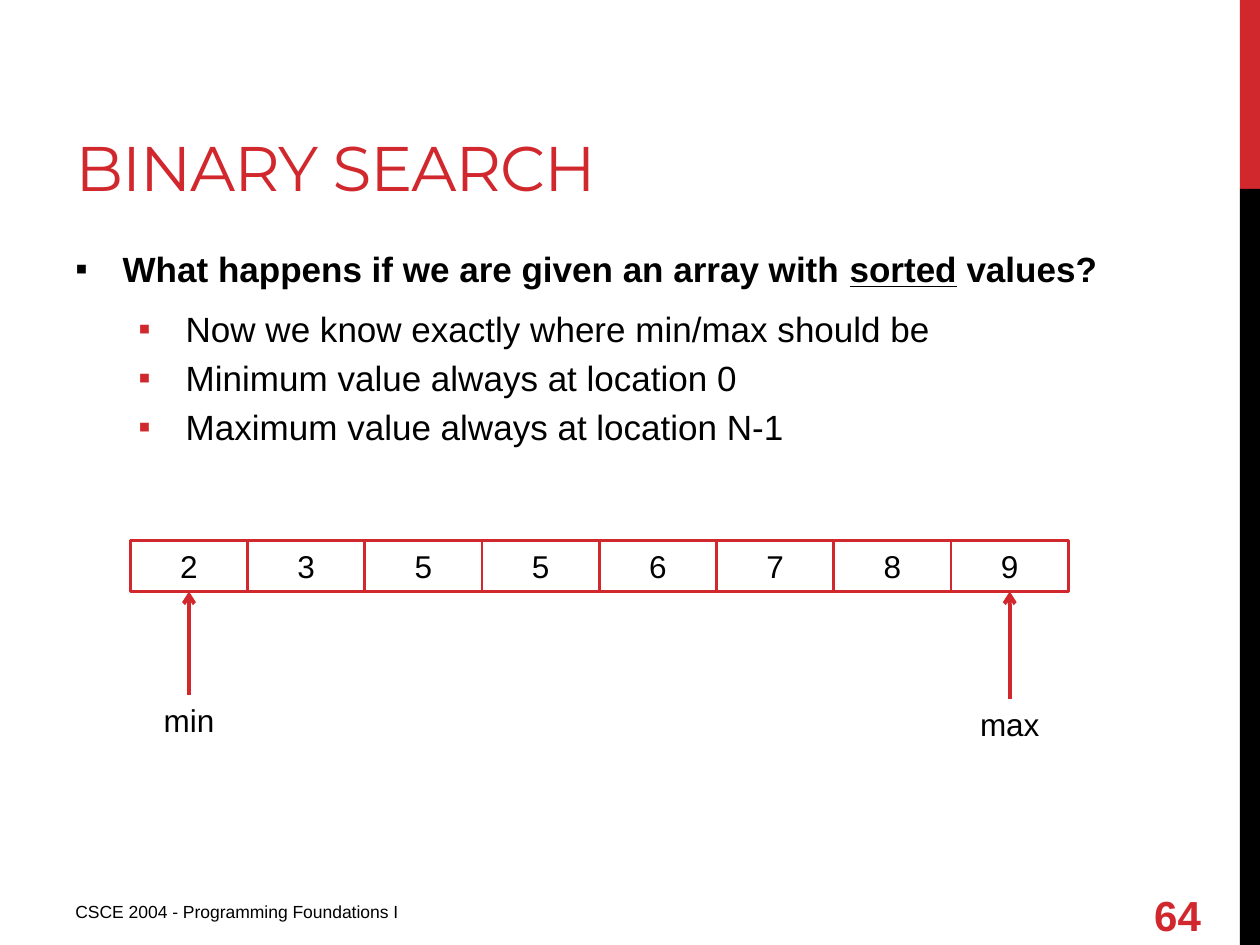
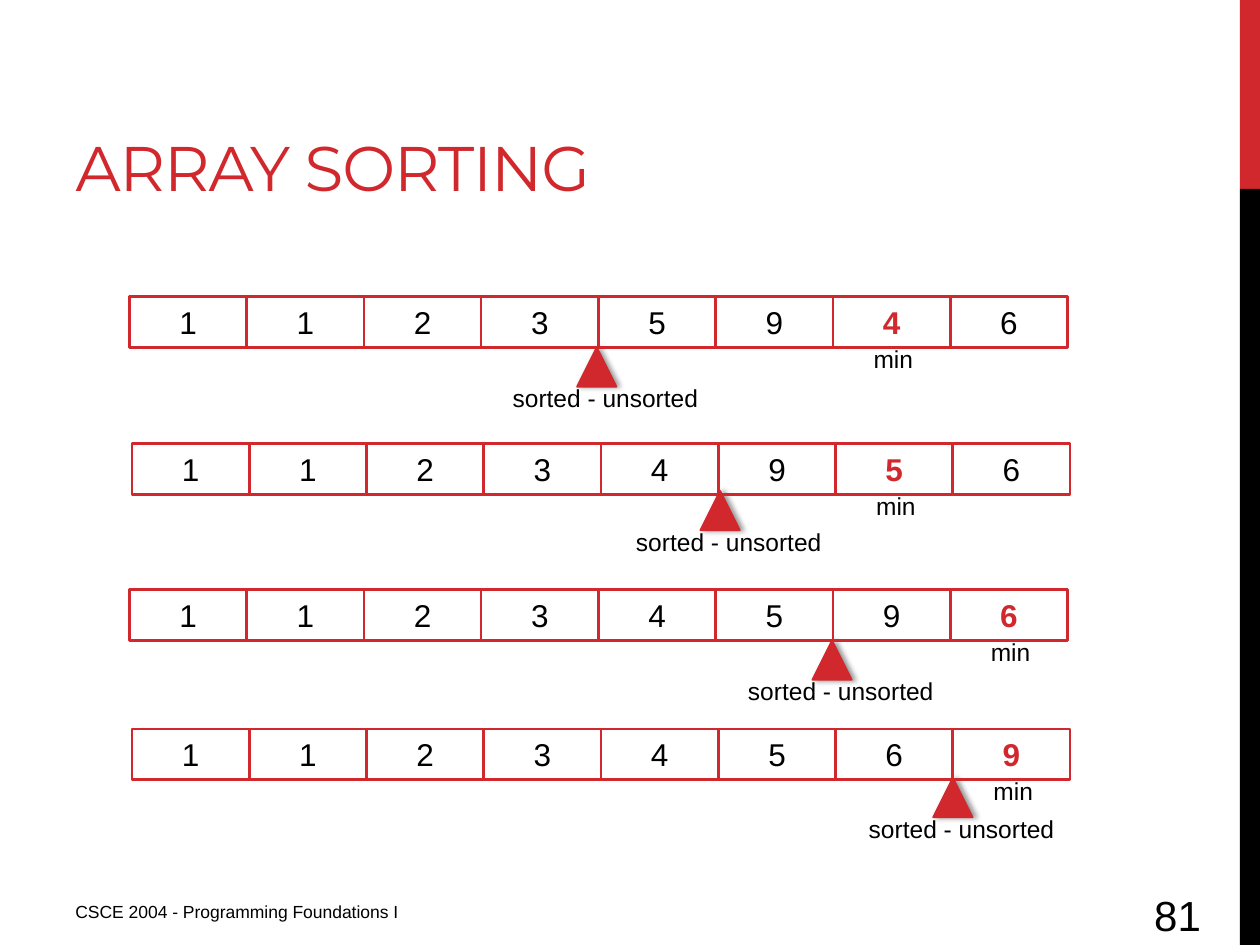
import pptx
import pptx.util
import pptx.dml.color
import pptx.enum.shapes
import pptx.enum.text
import pptx.oxml
import pptx.oxml.ns

Pt = pptx.util.Pt
RED = pptx.dml.color.RGBColor(0xD1, 0x28, 0x2E)
BLACK = pptx.dml.color.RGBColor(0, 0, 0)
RECTANGLE = pptx.enum.shapes.MSO_SHAPE.RECTANGLE
TRIANGLE = pptx.enum.shapes.MSO_SHAPE.ISOSCELES_TRIANGLE
STRAIGHT = pptx.enum.shapes.MSO_CONNECTOR.STRAIGHT
LEFT = pptx.enum.text.PP_ALIGN.LEFT
CENTER = pptx.enum.text.PP_ALIGN.CENTER
TOP = pptx.enum.text.MSO_ANCHOR.TOP
MIDDLE = pptx.enum.text.MSO_ANCHOR.MIDDLE
BOTTOM = pptx.enum.text.MSO_ANCHOR.BOTTOM

COURSE = "CSCE 2004 - Programming Foundations I"
BANDS = [(0, 108, RED), (108, 432, BLACK)]

SEARCH = {"title": "BINARY SEARCH", "number": "64", "number_color": RED}
QUESTION = ["What happens if we are given an array with ", "sorted", " values?"]
ANSWERS = [
    "Now we know exactly where min/max should be",
    "Minimum value always at location 0",
    "Maximum value always at location N-1",
]
SORTED_VALUES = [2, 3, 5, 5, 6, 7, 8, 9]
SORTED_LEFT, SORTED_TOP = 74.5, 309
ENDS = [("max", 7, 399.5), ("min", 0, 397)]

SORTING = {"title": "ARRAY SORTING", "number": "81", "number_color": BLACK}
BOUNDARY = "sorted - unsorted"
PASSES = [
    {"values": [1, 1, 2, 3, 5, 9, 4, 6], "sorted": 4, "min": 6, "at": (74, 169.5), "nudge": (-1, 0)},
    {"values": [1, 1, 2, 3, 4, 9, 5, 6], "sorted": 5, "min": 6, "at": (75.5, 253.5), "nudge": (1, -2)},
    {"values": [1, 1, 2, 3, 4, 5, 9, 6], "sorted": 6, "min": 7, "at": (74, 337), "nudge": (-0.5, 0)},
    {"values": [1, 1, 2, 3, 4, 5, 6, 9], "sorted": 7, "min": 7, "at": (75.5, 416.5), "nudge": (0, -1)},
]

CELL_W, CELL_H = 67, 29
MARKER = 22.5


def add_xml(parent, xml):
    wrapper = pptx.oxml.parse_xml(f"<a:p {pptx.oxml.ns.nsdecls('a')}>{xml}</a:p>")
    parent.extend(list(wrapper))


def style(paragraph, size, color=BLACK, bold=False, font="Arial"):
    for run in paragraph.runs:
        run.font.size = Pt(size)
        run.font.name = font
        run.font.bold = bold
        run.font.color.rgb = color


def add_text(slide, text, box, size, color=BLACK, bold=False, align=LEFT, anchor=TOP, wrap=True):
    label = slide.shapes.add_textbox(*map(Pt, box))
    frame = label.text_frame
    frame.word_wrap = wrap
    frame.vertical_anchor = anchor
    frame.text = text
    frame.paragraphs[0].alignment = align
    style(frame.paragraphs[0], size, color, bold)
    return label


def add_centered(slide, text, center, top, width, size):
    height = size * 1.15 + 7.9
    return add_text(slide, text, (center - width / 2, top, width, height), size,
                    align=CENTER, wrap=False)


def add_page(deck, page):
    slide = deck.slides.add_slide(deck.slide_layouts[5])
    for top, height, color in BANDS:
        band = slide.shapes.add_shape(RECTANGLE, Pt(708.5), Pt(top), Pt(11.5), Pt(height))
        band.shadow.inherit = False
        band.fill.solid()
        band.fill.fore_color.rgb = color
        band.line.fill.background()

    title = slide.shapes.title
    title.left, title.top, title.width, title.height = map(Pt, (36, 12, 456, 108))
    frame = title.text_frame
    frame.text = page["title"]
    frame.auto_size = pptx.enum.text.MSO_AUTO_SIZE.NONE
    frame.vertical_anchor = BOTTOM
    heading = frame.paragraphs[0]
    heading.alignment = LEFT
    style(heading, 36, RED, font="Montserrat")
    heading.runs[0].font._element.set("spc", "-60")

    add_text(slide, COURSE, (36, 511.5, 270, 22), 10)
    color = page["number_color"]
    add_text(slide, page["number"], (652.5, 508, 53, 29), 24, color,
             bold=color == RED, anchor=MIDDLE)
    return slide


def add_array(slide, values, left, top, highlight=None):
    array = slide.shapes.add_group_shape()
    cells = []
    for index, value in enumerate(values):
        cell = array.shapes.add_shape(RECTANGLE, Pt(left + index * CELL_W), Pt(top),
                                      Pt(CELL_W), Pt(CELL_H))
        cell.shadow.inherit = False
        cell.fill.background()
        cell.line.color.rgb = RED
        cell.line.width = Pt(1.5)
        cell.text_frame.text = str(value)
        cell.text_frame.vertical_anchor = TOP
        paragraph = cell.text_frame.paragraphs[0]
        paragraph.alignment = CENTER
        chosen = index == highlight
        style(paragraph, 18, RED if chosen else BLACK, chosen)
        cells.append(cell)
    return cells


def add_bullet(paragraph, margin, color):
    properties = paragraph._p.get_or_add_pPr()
    properties.set("marL", str(Pt(margin)))
    properties.set("indent", str(Pt(-27)))
    add_xml(properties, f'<a:buClr><a:srgbClr val="{color}"/></a:buClr>'
                        '<a:buFont typeface="Arial"/><a:buChar char="▪"/>')


def add_points(slide):
    frame = slide.shapes.add_textbox(Pt(36), Pt(138), Pt(600), Pt(344)).text_frame
    frame.word_wrap = True
    question = frame.paragraphs[0]
    for part in QUESTION:
        run = question.add_run()
        run.text = part
        run.font.underline = part == "sorted"
    question.space_after = Pt(6)
    add_bullet(question, 27, BLACK)
    style(question, 20, bold=True)
    for answer in ANSWERS:
        point = frame.add_paragraph()
        point.text = answer
        point.level = 1
        point.space_before = Pt(4)
        add_bullet(point, 63, RED)
        style(point, 20)


def add_arrow(slide, label, cell):
    arrow = slide.shapes.add_connector(STRAIGHT, 0, 0, 0, 0)
    arrow.begin_connect(label, 0)
    arrow.end_connect(cell, 2)
    arrow.line.color.rgb = RED
    arrow.line.width = Pt(2.25)
    add_xml(arrow.line._get_or_add_ln(), '<a:tailEnd type="arrow"/>')
    add_xml(arrow._element.spPr, '<a:effectLst/>')


def add_boundary(slide, center, top):
    marker = slide.shapes.add_shape(TRIANGLE, Pt(center - MARKER / 2), Pt(top),
                                    Pt(MARKER), Pt(MARKER))
    marker.fill.solid()
    marker.fill.fore_color.rgb = RED
    marker.line.color.rgb = RED
    marker.line.width = Pt(1)
    add_xml(marker._element.spPr,
            f'<a:effectLst><a:outerShdw blurRad="{Pt(3.1)}" dist="{Pt(1.8)}" dir="0" '
            'rotWithShape="0"><a:srgbClr val="000000"><a:alpha val="40000"/></a:srgbClr>'
            '</a:outerShdw></a:effectLst>')
    add_centered(slide, BOUNDARY, center + 5, top + 17, 130, 14)


def build_search(deck):
    slide = add_page(deck, SEARCH)
    add_points(slide)
    cells = add_array(slide, SORTED_VALUES, SORTED_LEFT, SORTED_TOP)
    for name, index, top in ENDS:
        center = SORTED_LEFT + (index + 0.5) * CELL_W
        label = add_centered(slide, name, center, top, 60, 18)
        add_arrow(slide, label, cells[index])


def build_sorting(deck):
    slide = add_page(deck, SORTING)
    for step in PASSES:
        left, top = step["at"]
        across, down = step["nudge"]
        add_boundary(slide, left + step["sorted"] * CELL_W + across, top + CELL_H + down)
    for step in PASSES:
        left, top = step["at"]
        add_array(slide, step["values"], left, top, step["min"])
        center = left + (step["min"] + 0.5) * CELL_W
        add_centered(slide, "min", center + 1, top + CELL_H - 5.75, 44, 14)


def main():
    deck = pptx.Presentation()
    deck.slide_width, deck.slide_height = Pt(720), Pt(540)
    build_search(deck)
    build_sorting(deck)
    deck.save("out.pptx")


if __name__ == "__main__":
    main()
